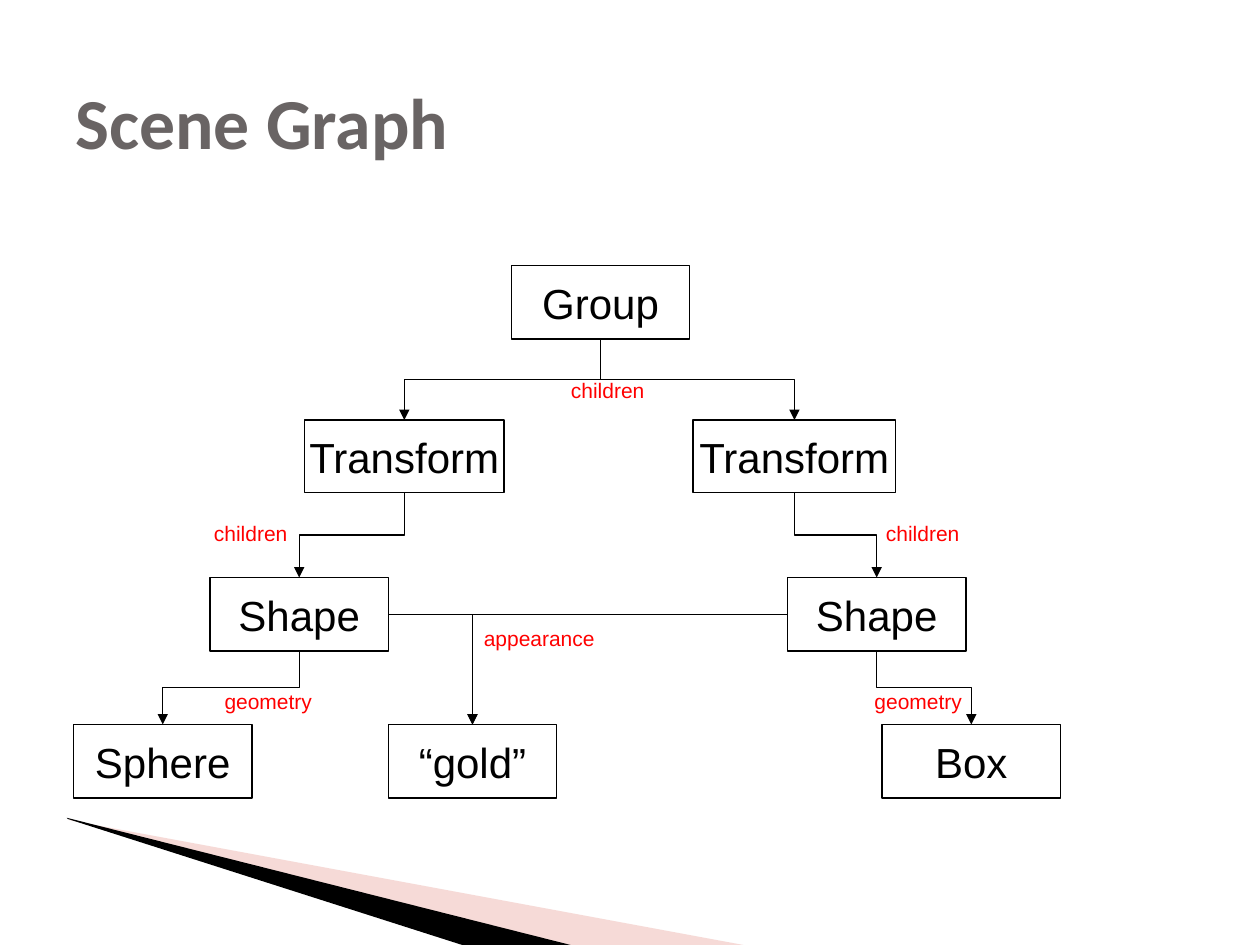
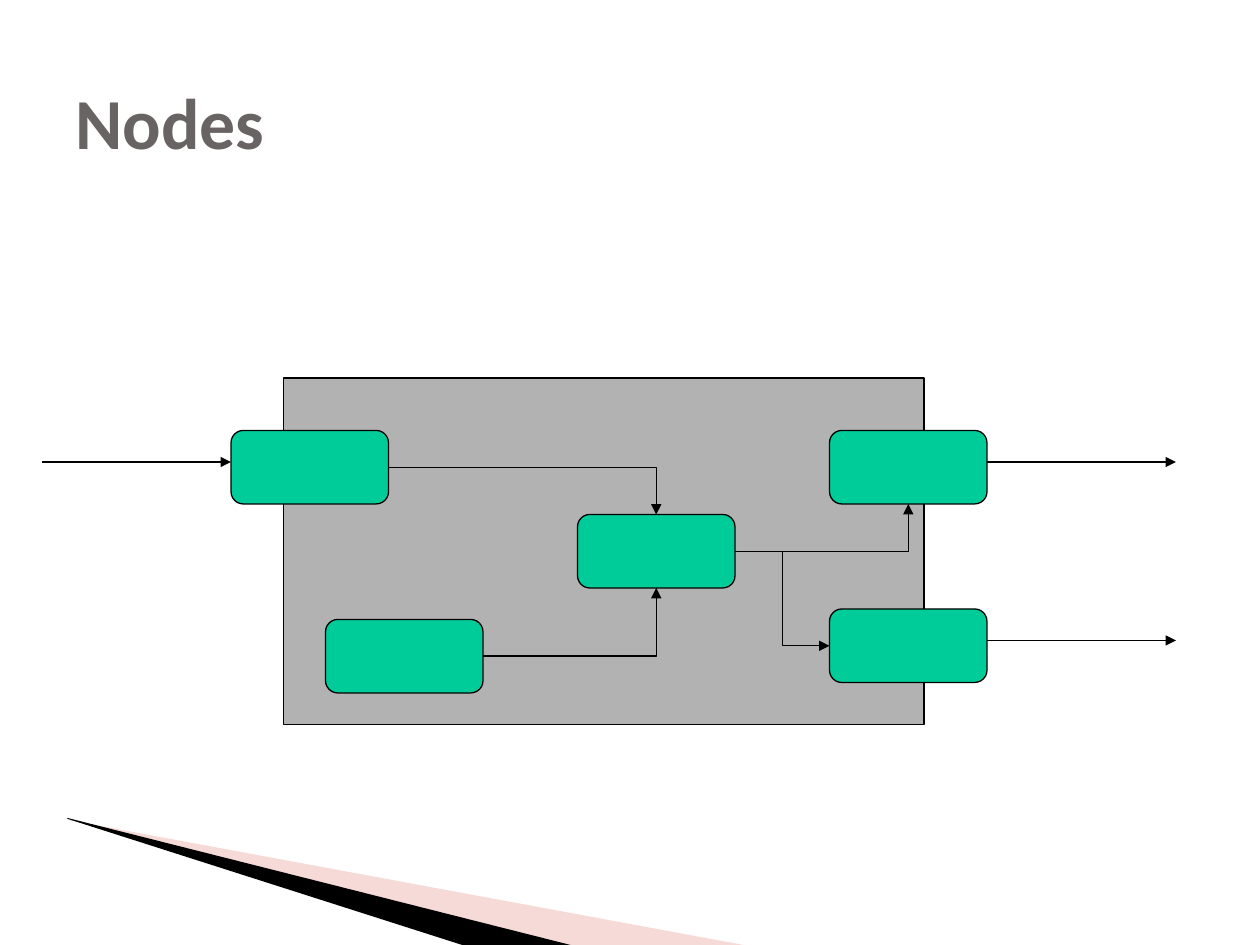
from lxml import etree
from pptx import Presentation
from pptx.dml.color import RGBColor
from pptx.enum import shapes, text
from pptx.oxml import ns
from pptx.util import Inches, Pt

COLOURS = {"title": "696464", "ink": "000000", "paper": "FFFFFF", "label": "FF0000",
           "panel": "B2B2B2", "node": "00CC99", "blush": "E9A49C"}
WIDTH, HEIGHT = Inches(10), Inches(7.5)
COLUMNS = 120
CELL = WIDTH / COLUMNS
TOP, LEFT, BOTTOM, RIGHT = range(4)
TITLE_AREA = (6, 1.9, 107.9, 18.4)
TITLE_STYLE = {"name": "Calibri", "size": Pt(41), "bold": True}
NODE_STYLE = {"name": "Arial", "size": Pt(24)}
LABEL_STYLE = {"name": "Arial", "size": Pt(12)}

WEDGES = [
    ("blush", 40, [(0.55, 6.51), (5.9, 7.5), (4.52, 7.5), (0.55, 6.5)]),
    ("ink", 100, [(0.53, 6.49), (4.53, 7.5), (3.67, 7.5), (0.54, 6.5)]),
]

GRAPH_NODES = {
    "group": ("Group", 48.7, 25.3, 17, 7),
    "left transform": ("Transform", 29, 40, 19, 6.9),
    "right transform": ("Transform", 66, 40, 19.3, 6.9),
    "left shape": ("Shape", 20, 55, 17, 7),
    "box": ("Box", 84, 69, 17, 7),
    "right shape": ("Shape", 75, 55, 17, 7),
    "sphere": ("Sphere", 7, 69, 17, 7),
    "gold": ("“gold”", 37, 69, 16, 7),
}
GRAPH_LINKS = [
    ("group", BOTTOM, "right transform", TOP),
    ("group", BOTTOM, "left transform", TOP),
    ("right transform", BOTTOM, "right shape", TOP),
    ("left transform", BOTTOM, "left shape", TOP),
    ("left shape", BOTTOM, "sphere", TOP),
    ("left shape", RIGHT, "gold", TOP),
    ("right shape", BOTTOM, "box", TOP),
    ("right shape", LEFT, "gold", TOP),
]
GRAPH_LABELS = [
    ("children", 53.2, 35.4, 9.4), ("children", 83.2, 49, 9.4),
    ("children", 19.2, 49, 9.4), ("appearance", 44.9, 59, 13),
    ("geometry", 20.2, 65, 10.7), ("geometry", 82.1, 65, 10.7),
]

PANEL = (27, 36, 61, 33)
NODE_SIZE = (15, 7)
NODE_PLACES = {"upper output": (79, 41), "centre": (55, 49), "lower output": (79, 58),
               "source": (31, 59), "input": (22, 41)}
NODE_LINKS = [
    ("input", RIGHT, "centre", TOP),
    ("centre", RIGHT, "upper output", BOTTOM),
    ("centre", RIGHT, "lower output", LEFT),
    ("source", RIGHT, "centre", BOTTOM),
]
FLOW_LENGTH = 18
FLOW_STARTS = [(4, 44), (94, 44), (94, 61)]


def cells(*counts):
    return [round(count * CELL) for count in counts]


def colour(name):
    return RGBColor.from_string(COLOURS[name])


def paint(shape, fill, outline=True):
    shape.shadow.inherit = False
    shape.fill.solid()
    shape.fill.fore_color.rgb = colour(fill)
    if outline:
        shape.line.color.rgb = colour("ink")
        shape.line.width = Pt(0.75)
    else:
        shape.line.fill.background()


def write(box, words, style, ink, **frame_format):
    frame = box.text_frame
    settings = {"margin_left": Inches(0.1), "margin_right": Inches(0.1),
                "margin_top": Inches(0.05), "margin_bottom": Inches(0.05),
                "word_wrap": False, **frame_format}
    for name, value in settings.items():
        setattr(frame, name, value)
    para = frame.paragraphs[0]
    span = para.add_run()
    span.text = words
    for name, value in style.items():
        setattr(span.font, name, value)
    span.font.color.rgb = colour(ink)
    return para


def add_block(page, kind, area, fill):
    block = page.shapes.add_shape(kind, *cells(*area))
    paint(block, fill)
    return block


def finish_line(connector):
    connector.line.color.rgb = colour("ink")
    connector.line.width = Pt(0.75)
    etree.SubElement(connector.line._get_or_add_ln(), ns.qn("a:tailEnd"), type="triangle")
    etree.SubElement(connector._element.spPr, ns.qn("a:effectLst"))


def add_link(page, boxes, start, start_side, end, end_side):
    connector = page.shapes.add_connector(shapes.MSO_CONNECTOR.ELBOW, 0, 0, 0, 0)
    connector.begin_connect(boxes[start], start_side)
    connector.end_connect(boxes[end], end_side)
    properties = connector._element.spPr
    if start_side == BOTTOM:
        across = connector.end_x - connector.begin_x
        down = connector.end_y - connector.begin_y
        middle_x = (connector.begin_x + connector.end_x) // 2
        middle_y = (connector.begin_y + connector.end_y) // 2
        connector.width, connector.height = down, abs(across)
        connector.left = middle_x - down // 2
        connector.top = middle_y - abs(across) // 2
        frame = properties.find(ns.qn("a:xfrm"))
        frame.set("rot", str((270 if across > 0 else 90) * 60000))
        frame.set("flipH", str(int(across > 0)))
    elif end_side in (TOP, BOTTOM):
        properties.find(ns.qn("a:prstGeom")).set("prst", "bentConnector2")
    finish_line(connector)


def start_page(deck, title):
    page = deck.slides.add_slide(deck.slide_layouts[6])
    for fill, opacity, points in WEDGES:
        corners = [(Inches(x), Inches(y)) for x, y in points]
        builder = page.shapes.build_freeform(*corners[0])
        builder.add_line_segments(corners[1:])
        wedge = builder.convert_to_shape()
        paint(wedge, fill, outline=False)
        if opacity < 100:
            tint = wedge._element.spPr.find(".//" + ns.qn("a:srgbClr"))
            etree.SubElement(tint, ns.qn("a:alpha"), val=str(opacity * 1000))
    box = page.shapes.add_textbox(*cells(*TITLE_AREA))
    para = write(box, title, TITLE_STYLE, "title", word_wrap=True,
                 vertical_anchor=text.MSO_ANCHOR.MIDDLE)
    para.line_spacing = 1.09
    return page


def build_scene_graph(deck):
    page = start_page(deck, "Scene Graph")
    boxes = {}
    for key, (words, *area) in GRAPH_NODES.items():
        boxes[key] = add_block(page, shapes.MSO_SHAPE.RECTANGLE, area, "paper")
        para = write(boxes[key], words, NODE_STYLE, "ink",
                     vertical_anchor=text.MSO_ANCHOR.MIDDLE)
        para.alignment = text.PP_ALIGN.CENTER
    for link in GRAPH_LINKS:
        add_link(page, boxes, *link)
    for words, column, row, width in GRAPH_LABELS:
        box = page.shapes.add_textbox(*cells(column, row, width, 3.6))
        write(box, words, LABEL_STYLE, "label",
              auto_size=text.MSO_AUTO_SIZE.SHAPE_TO_FIT_TEXT)


def build_nodes(deck):
    page = start_page(deck, "Nodes")
    add_block(page, shapes.MSO_SHAPE.RECTANGLE, PANEL, "panel")
    boxes = {key: add_block(page, shapes.MSO_SHAPE.ROUNDED_RECTANGLE,
                            place + NODE_SIZE, "node")
             for key, place in NODE_PLACES.items()}
    for link in NODE_LINKS:
        add_link(page, boxes, *link)
    for column, row in FLOW_STARTS:
        ends = cells(column, row, column + FLOW_LENGTH, row)
        finish_line(page.shapes.add_connector(shapes.MSO_CONNECTOR.STRAIGHT, *ends))


def main():
    deck = Presentation()
    deck.slide_width, deck.slide_height = WIDTH, HEIGHT
    build_scene_graph(deck)
    build_nodes(deck)
    deck.save("out.pptx")


if __name__ == "__main__":
    main()
